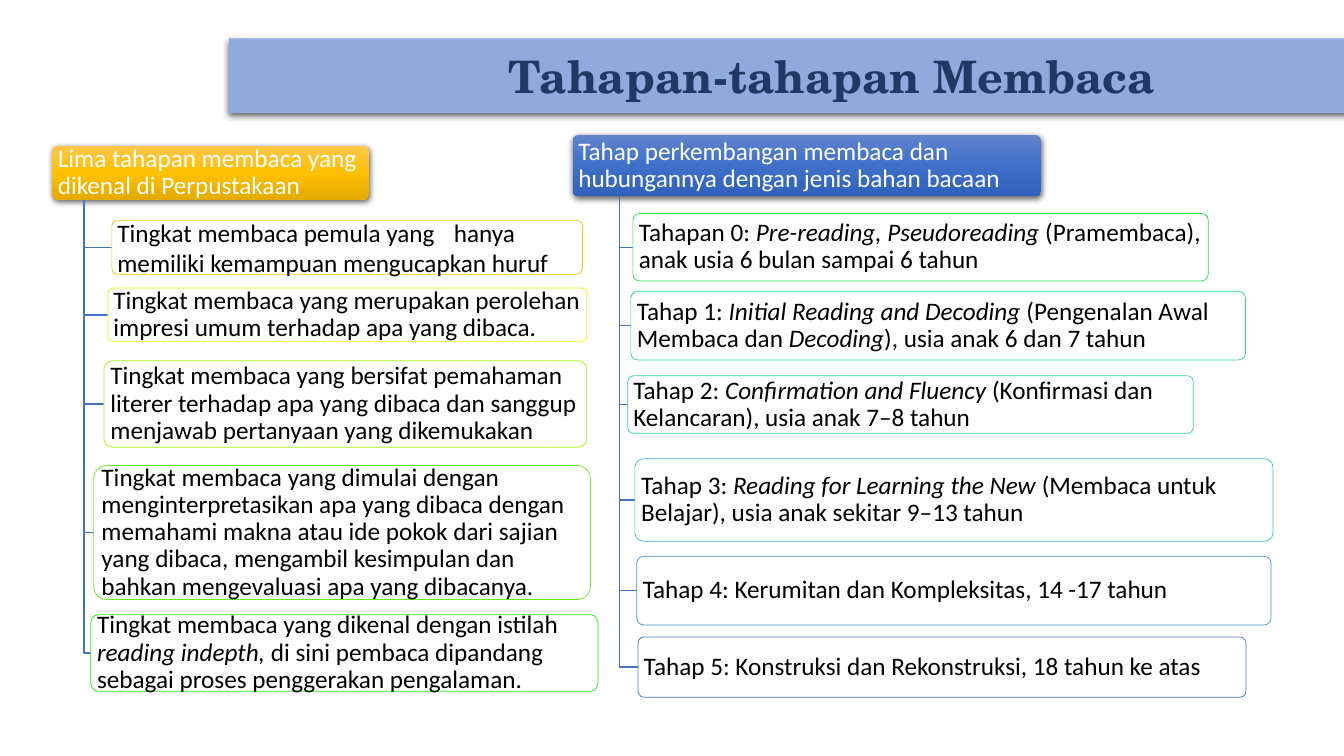
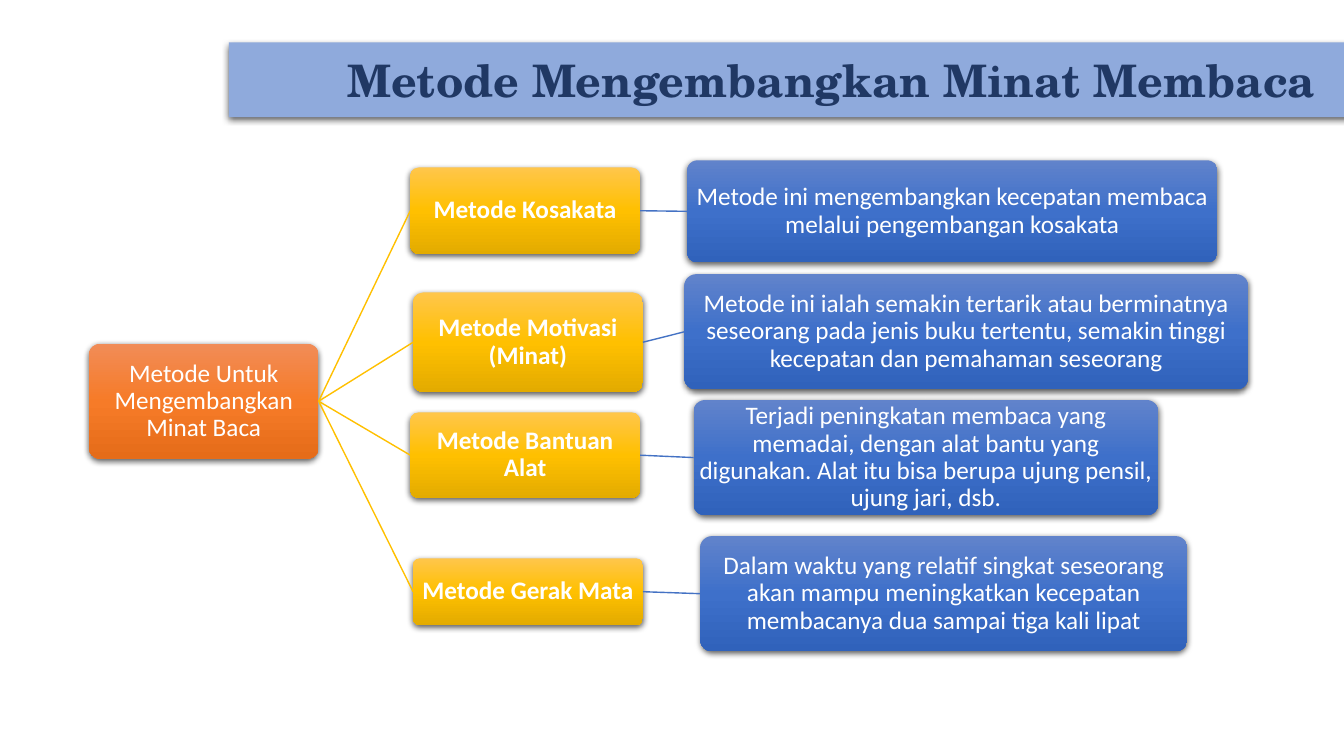
import copy
from dataclasses import dataclass

import pptx
import pptx.dml.color
import pptx.enum.shapes
import pptx.enum.text
import pptx.oxml
import pptx.oxml.ns
import pptx.util

Cm = pptx.util.Cm
Pt = pptx.util.Pt
ALIGN = pptx.enum.text.PP_ALIGN
ROUNDED = pptx.enum.shapes.MSO_SHAPE.ROUNDED_RECTANGLE
LEFT_SITE, RIGHT_SITE = 1, 3


# Theme
@dataclass(frozen=True)
class Theme:
    body_font: str = "Calibri"
    title_font: str = "TeX Gyre Schola"
    body_size: int = 18
    title_size: int = 32
    band: str = "8FAADC"
    title: str = "203864"
    white: str = "FFFFFF"
    black: str = "000000"
    blue: str = "4472C4"
    gold: str = "FFC000"
    gold_gradient: tuple[str, ...] = ("FFC64B", "FFC000", "E3AB00")
    blue_gradient: tuple[str, ...] = ("6183CB", "3E70CA", "3062BB")
    orange_gradient: tuple[str, ...] = ("F18C57", "F67B28", "E56C19")


THEME = Theme()


# Repeated elements; lengths in centimetres, *asterisks* mark italics
@dataclass(frozen=True)
class Box:
    left: float
    top: float
    width: float
    height: float
    text: str


@dataclass(frozen=True)
class Stage:
    box: Box
    border: str
    line_spacing: float = 0.9
    tabs: tuple[float, ...] = ()


@dataclass(frozen=True)
class StageList:
    header: Box
    gradient: tuple[str, ...]
    stages: tuple[Stage, ...]


@dataclass(frozen=True)
class Method:
    name: Box
    description: Box


STAGE_LISTS = (
    StageList(
        Box(1.32, 3.68, 7.98, 1.35, "Lima tahapan membaca yang dikenal di Perpustakaan"),
        THEME.gold_gradient,
        (
            Stage(Box(2.82, 5.56, 11.86, 1.35,
                      "Tingkat\tmembaca pemula yang \thanya memiliki kemampuan mengucapkan huruf"),
                  "FFC000", line_spacing=1.0, tabs=(2.02, 8.48)),
            Stage(Box(2.72, 7.26, 12.07, 1.35,
                      "Tingkat membaca yang merupakan perolehan impresi umum terhadap "
                      "apa yang dibaca."), "EFF907"),
            Stage(Box(2.62, 9.09, 12.17, 2.18,
                      "Tingkat membaca yang bersifat pemahaman literer terhadap apa yang "
                      "dibaca dan sanggup menjawab pertanyaan yang dikemukakan"), "A7F30E"),
            Stage(Box(2.36, 11.73, 12.52, 3.38,
                      "Tingkat membaca yang dimulai dengan menginterpretasikan apa yang "
                      "dibaca dengan memahami makna atau ide pokok dari sajian yang dibaca, "
                      "mengambil kesimpulan dan bahkan mengevaluasi apa yang dibacanya."),
                  "67ED15"),
            Stage(Box(2.29, 15.49, 12.78, 1.93,
                      "Tingkat membaca yang dikenal dengan istilah *reading indepth, *di sini "
                      "pembaca dipandang sebagai proses penggerakan pengalaman."), "2EE71C"),
        ),
    ),
    StageList(
        Box(14.43, 3.4, 11.81, 1.55,
            "Tahap perkembangan membaca dan hubungannya dengan jenis bahan bacaan"),
        THEME.blue_gradient,
        (
            Stage(Box(15.95, 5.38, 14.5, 1.7,
                      "Tahapan 0: *Pre-reading, Pseudoreading *(Pramembaca), anak usia "
                      "6 bulan sampai 6 tahun"), "23E148"),
            Stage(Box(15.9, 7.34, 15.49, 1.73,
                      "Tahap 1: *Initial Reading and Decoding *(Pengenalan Awal Membaca dan "
                      "*Decoding*), usia anak 6 dan 7 tahun"), "29DB80"),
            Stage(Box(15.82, 9.47, 14.25, 1.45,
                      "Tahap 2: *Confirmation and Fluency *(Konfirmasi dan Kelancaran), "
                      "usia anak 7–8 tahun"), "30D5B0"),
            Stage(Box(16, 11.56, 16.08, 2.08,
                      "Tahap 3: *Reading for Learning the New *(Membaca untuk Belajar), "
                      "usia anak sekitar 9–13 tahun"), "37C6CF"),
            Stage(Box(16.05, 14.02, 15.98, 1.73,
                      "Tahap 4: Kerumitan dan Kompleksitas, 14 -17 tahun"), "3D98CA"),
            Stage(Box(16.08, 16.05, 15.32, 1.52,
                      "Tahap 5: Konstruksi dan Rekonstruksi, 18 tahun ke atas"), "4472C4"),
        ),
    ),
)

ROOT = Box(2.24, 8.66, 5.79, 2.9, "Metode Untuk Mengembangkan Minat Baca")
METHODS = (
    Method(Box(10.34, 4.22, 5.79, 2.18, "Metode Kosakata"),
           Box(17.32, 4.04, 13.36, 2.57,
               "Metode ini mengembangkan kecepatan membaca melalui pengembangan kosakata")),
    Method(Box(10.41, 7.37, 5.79, 2.51, "Metode Motivasi (Minat)"),
           Box(17.25, 6.91, 14.2, 2.9,
               "Metode ini ialah semakin tertarik atau berminatnya seseorang pada jenis buku "
               "tertentu, semakin tinggi kecepatan dan pemahaman seseorang")),
    Method(Box(10.34, 10.39, 5.79, 2.16, "Metode Bantuan Alat"),
           Box(17.48, 10.08, 11.71, 2.9,
               "Terjadi peningkatan membaca yang memadai, dengan alat bantu yang digunakan. "
               "Alat itu bisa berupa ujung pensil, ujung jari, dsb.")),
    Method(Box(10.41, 14.07, 5.79, 1.68, "Metode Gerak Mata"),
           Box(17.65, 13.51, 12.27, 2.9,
               "Dalam waktu yang relatif singkat seseorang akan mampu meningkatkan kecepatan "
               "membacanya dua sampai tiga kali lipat")),
)


# Formatting helpers
def rgb(color: str) -> pptx.dml.color.RGBColor:
    return pptx.dml.color.RGBColor.from_string(color)


def drawing_xml(tag: str, attributes: str = "", inner: str = ""):
    namespace = pptx.oxml.ns.nsdecls("a")
    return pptx.oxml.parse_xml(f"<a:{tag} {namespace} {attributes}>{inner}</a:{tag}>")


def set_line(line, color: str, width: float) -> None:
    line.color.rgb = rgb(color)
    line.width = Pt(width)


def add_shadow(shape) -> None:
    shape.shadow.inherit = False
    effects = shape._element.spPr.find(pptx.oxml.ns.qn("a:effectLst"))
    effects.append(drawing_xml(
        "outerShdw",
        f'blurRad="{Pt(4.5)}" dist="{Pt(1.5)}" dir="5400000" algn="ctr" rotWithShape="0"',
        '<a:srgbClr val="000000"><a:alpha val="63000"/></a:srgbClr>'))


def fill_gradient(shape, colors: tuple[str, ...]) -> None:
    shape.fill.gradient()
    shape.fill.gradient_angle = 270
    stop_list = next(shape._element.spPr.iter(pptx.oxml.ns.qn("a:gsLst")))
    stop_list.insert(1, copy.deepcopy(stop_list[0]))
    for index, (stop, color) in enumerate(zip(shape.fill.gradient_stops, colors)):
        stop.color.rgb = rgb(color)
        stop.position = index / (len(colors) - 1)


def write_text(shape, text: str, *, color: str, font: str = THEME.body_font,
               size: int = THEME.body_size, bold: bool = False, align=ALIGN.LEFT,
               line_spacing: float = 0.9, tabs: tuple[float, ...] = (),
               insets: tuple[float, float, float, float] = (0.1, 0.07, 0.1, 0.07)) -> None:
    frame = shape.text_frame
    frame.word_wrap = True
    frame.auto_size = pptx.enum.text.MSO_AUTO_SIZE.NONE
    frame.vertical_anchor = pptx.enum.text.MSO_ANCHOR.MIDDLE
    (frame.margin_left, frame.margin_top,
     frame.margin_right, frame.margin_bottom) = map(Cm, insets)
    paragraph = frame.paragraphs[0]
    paragraph.alignment = align
    paragraph.line_spacing = line_spacing
    if tabs:
        stops = "".join(f'<a:tab pos="{Cm(tab)}" algn="l"/>' for tab in tabs)
        paragraph._p.get_or_add_pPr().append(drawing_xml("tabLst", inner=stops))
    for index, part in enumerate(text.split("*")):
        if part:
            run = paragraph.add_run()
            run.text = part
            run.font.name = font
            run.font.size = Pt(size)
            run.font.bold = bold
            run.font.italic = index % 2 == 1
            run.font.color.rgb = rgb(color)


# Drawing functions
def add_titled_slide(presentation, title: str, top: float):
    slide = presentation.slides.add_slide(presentation.slide_layouts[5])
    band = slide.shapes.title
    band.left, band.top, band.width, band.height = map(Cm, (5.77, top, 29.13, 1.88))
    band._element.spPr.append(drawing_xml("prstGeom", 'prst="roundRect"', "<a:avLst/>"))
    band.fill.solid()
    band.fill.fore_color.rgb = rgb(THEME.band)
    add_shadow(band)
    write_text(band, title, color=THEME.title, font=THEME.title_font, size=THEME.title_size,
               bold=True, align=ALIGN.CENTER, line_spacing=1.0, insets=(1.52, 0.13, 0.25, 0.13))
    return slide


def add_box(slide, box: Box):
    shape = slide.shapes.add_shape(
        ROUNDED, Cm(box.left), Cm(box.top), Cm(box.width), Cm(box.height))
    shape.adjustments[0] = 0.1
    return shape


def add_gradient_box(slide, box: Box, gradient: tuple[str, ...], **text_format):
    shape = add_box(slide, box)
    fill_gradient(shape, gradient)
    shape.line.fill.background()
    add_shadow(shape)
    write_text(shape, box.text, color=THEME.white, **text_format)
    return shape


def add_elbow(slide, header: Box, target: Box) -> None:
    trunk = Cm(header.left + header.width / 10)
    middle = Cm(target.top + target.height / 2)
    builder = slide.shapes.build_freeform(trunk, Cm(header.top + header.height))
    builder.add_line_segments([(trunk, middle), (Cm(target.left), middle)], close=False)
    elbow = builder.convert_to_shape()
    elbow.fill.background()
    elbow.shadow.inherit = False
    set_line(elbow.line, THEME.blue, 1)


def add_stage_list(slide, stage_list: StageList) -> None:
    add_gradient_box(slide, stage_list.header, stage_list.gradient)
    for stage in stage_list.stages:
        add_elbow(slide, stage_list.header, stage.box)
        shape = add_box(slide, stage.box)
        shape.fill.solid()
        shape.fill.fore_color.rgb = rgb(THEME.white)
        shape.shadow.inherit = False
        set_line(shape.line, stage.border, 0.5)
        write_text(shape, stage.box.text, color=THEME.black,
                   line_spacing=stage.line_spacing, tabs=stage.tabs)


def connect(slide, source, target, color: str) -> None:
    connector = slide.shapes.add_connector(
        pptx.enum.shapes.MSO_CONNECTOR.STRAIGHT, 0, 0, 0, 0)
    connector.begin_connect(source, RIGHT_SITE)
    connector.end_connect(target, LEFT_SITE)
    set_line(connector.line, color, 1)
    connector._element.spPr.append(drawing_xml("effectLst"))


def add_method_tree(slide) -> None:
    centred = {"align": ALIGN.CENTER, "insets": (0.03,) * 4}
    root = add_gradient_box(slide, ROOT, THEME.orange_gradient, **centred)
    for method in METHODS:
        name = add_gradient_box(slide, method.name, THEME.gold_gradient, bold=True, **centred)
        description = add_gradient_box(
            slide, method.description, THEME.blue_gradient, **centred)
        connect(slide, root, name, THEME.gold)
        connect(slide, name, description, THEME.blue)


def main() -> None:
    presentation = pptx.Presentation()
    presentation.slide_width, presentation.slide_height = Cm(33.87), Cm(19.05)

    # Reading stages
    stages_slide = add_titled_slide(presentation, "Tahapan-tahapan Membaca", 0.97)
    for stage_list in STAGE_LISTS:
        add_stage_list(stages_slide, stage_list)

    # Methods
    methods_slide = add_titled_slide(presentation, "Metode Mengembangkan Minat Membaca", 1.07)
    add_method_tree(methods_slide)

    presentation.save("out.pptx")


if __name__ == "__main__":
    main()
